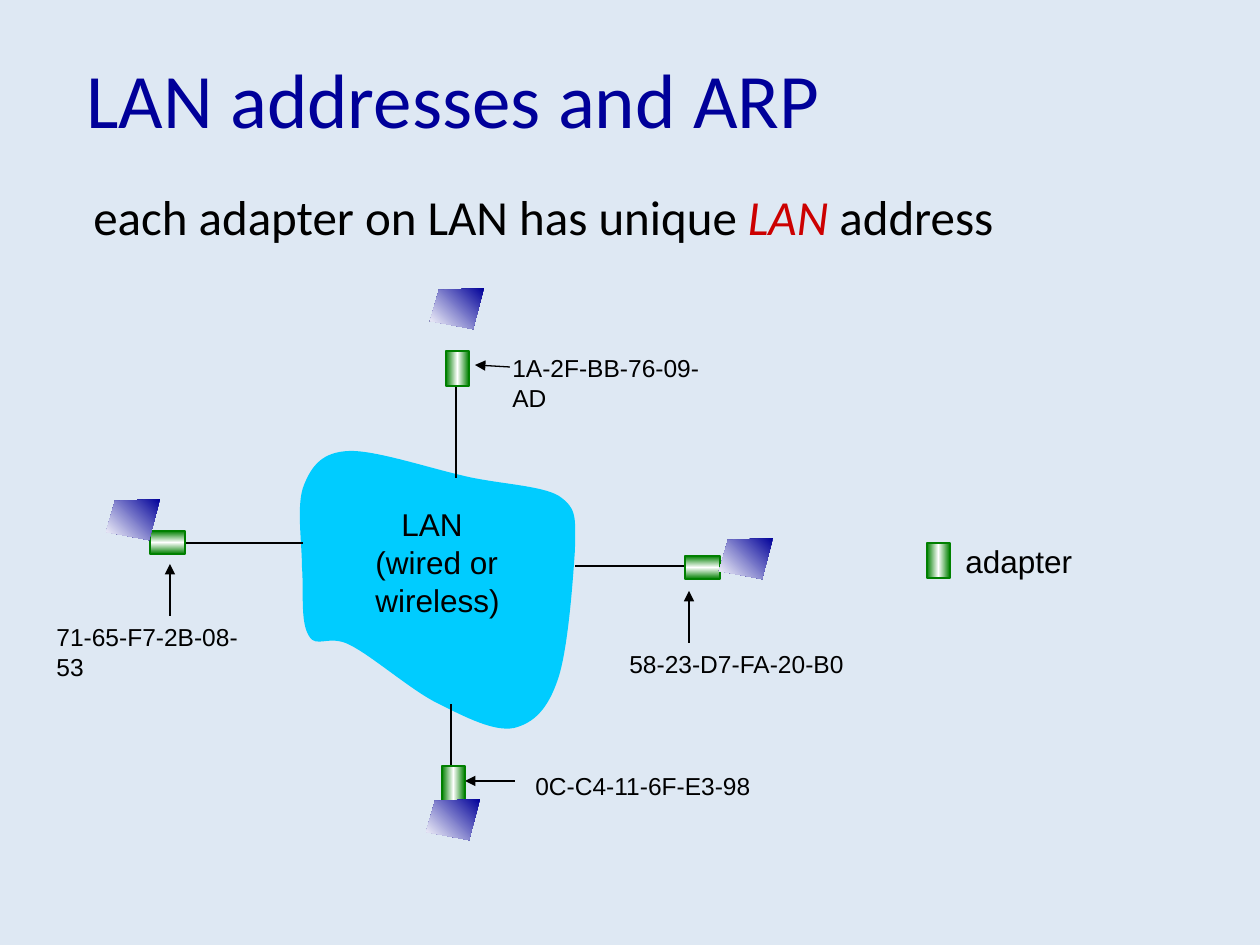
from dataclasses import dataclass

from lxml.etree import SubElement
from pptx import Presentation
from pptx.dml.color import RGBColor
from pptx.enum.shapes import MSO_CONNECTOR, MSO_SHAPE
from pptx.enum.text import MSO_ANCHOR
from pptx.oxml.ns import qn
from pptx.util import Emu, Pt

EMU_PER_PX = 914400 / 126


def px(length):
    return Emu(round(length * EMU_PER_PX))


@dataclass(frozen=True)
class Theme:
    background: str = "DEE8F3"
    navy: str = "000099"
    black: str = "000000"
    red: str = "CC0000"
    cloud: str = "00CCFF"
    green: str = "008000"
    white: str = "FFFFFF"
    heading_font: str = "Calibri"
    label_font: str = "Arial"
    title_size: int = 44
    body_size: int = 28
    label_size: int = 18
    address_size: int = 14
    line_width: float = 0.75


class SlideBuilder:
    def __init__(self, page, theme):
        self.page, self.theme = page, theme
        page.background.fill.solid()
        page.background.fill.fore_color.rgb = RGBColor.from_string(theme.background)

    def text(self, left, top, width, height, lines, size, font=None,
             color=None, anchor=MSO_ANCHOR.TOP):
        """Each line is a list of plain strings or (string, accent color) pairs."""
        box = self.page.shapes.add_textbox(px(left), px(top), px(width), px(height))
        frame = box.text_frame
        frame.word_wrap = True
        frame.vertical_anchor = anchor
        for number, line in enumerate(lines):
            para = frame.add_paragraph() if number else frame.paragraphs[0]
            para.font.size = Pt(size)
            para.font.name = font or self.theme.label_font
            para.font.color.rgb = RGBColor.from_string(color or self.theme.black)
            for part in line:
                span = para.add_run()
                if isinstance(part, tuple):
                    span.text, accent = part
                    span.font.italic = True
                    span.font.color.rgb = RGBColor.from_string(accent)
                else:
                    span.text = part
        return frame

    def line(self, start, end, arrow=False):
        line = self.page.shapes.add_connector(
            MSO_CONNECTOR.STRAIGHT, *map(px, start + end))
        line.line.color.rgb = RGBColor.from_string(self.theme.black)
        line.line.width = Pt(self.theme.line_width)
        if arrow:
            SubElement(line.line._get_or_add_ln(), qn("a:tailEnd"), type="triangle")
        SubElement(line._element.spPr, qn("a:effectLst"))

    def gradient(self, shape, colors, angle):
        shape.fill.gradient()
        shape.fill.gradient_angle = angle
        stops = shape._element.spPr.find(qn("a:gradFill")).find(qn("a:gsLst"))
        for stop in list(stops):
            stops.remove(stop)
        for number, color in enumerate(colors):
            position = 100000 * number // (len(colors) - 1)
            stop = SubElement(stops, qn("a:gs"), pos=str(position))
            SubElement(stop, qn("a:srgbClr"), val=color)

    def outline(self, points):
        corners = [(px(x), px(y)) for x, y in points]
        builder = self.page.shapes.build_freeform(*corners[0], scale=1.0)
        builder.add_line_segments(corners[1:], close=True)
        shape = builder.convert_to_shape()
        shape.shadow.inherit = False
        shape.line.fill.background()
        return shape

    def cloud(self, start, segments):
        """Closed chain of Bezier curves: two handles and an end per segment."""
        shape = self.outline([start, *(point for segment in segments for point in segment)])
        shape.fill.solid()
        shape.fill.fore_color.rgb = RGBColor.from_string(self.theme.cloud)
        # Turn every three straight steps into one curve
        steps = list(shape._element.iter(qn("a:lnTo")))
        for first in range(0, len(steps), 3):
            curve = steps[first]
            curve_points = [step[0] for step in steps[first:first + 3]]
            bezier = curve.getparent().makeelement(qn("a:cubicBezTo"))
            curve.addprevious(bezier)
            bezier.extend(curve_points)
            for step in steps[first:first + 3]:
                step.getparent().remove(step)

    def screen(self, left, top):
        corners = ((54, 0), (9, 2), (0, 33), (43, 41))
        shape = self.outline([(left + x, top + y) for x, y in corners])
        self.gradient(shape, (self.theme.navy, self.theme.white), 225)

    def adapter(self, left, top, rotation=0):
        theme = self.theme
        shape = self.page.shapes.add_shape(
            MSO_SHAPE.RECTANGLE, px(left), px(top), px(23), px(35))
        shape.rotation = rotation
        shape.shadow.inherit = False
        self.gradient(shape, (theme.green, theme.white, theme.green), 0)
        shape.line.color.rgb = RGBColor.from_string(theme.green)
        shape.line.width = Pt(theme.line_width)


CLOUD_START = (349, 451)
CLOUD_SEGMENTS = (
    ((323, 452), (312, 465), (304, 485)),
    ((296, 504), (302, 542), (302, 567)),
    ((304, 592), (300, 622), (309, 636)),
    ((316, 649), (329, 634), (350, 645)),
    ((372, 656), (411, 690), (437, 703)),
    ((465, 717), (494, 732), (514, 728)),
    ((534, 723), (548, 709), (558, 679)),
    ((568, 650), (573, 580), (575, 549)),
    ((575, 519), (578, 509), (559, 496)),
    ((541, 485), (495, 484), (460, 475)),
    ((426, 467), (374, 450), CLOUD_START),
)

# Cable, address arrow, address box (left, top, width), address, adapter, screen
HOSTS = (
    (((179, 543), (303, 543)), ((170, 616), (170, 564)),
     (44, 616, 233), "71-65-F7-2B-08-53", (156, 525, 270), (106, 499)),
    (((456, 387), (456, 478)), ((510, 367), (475, 365)),
     (500, 347, 240), "1A-2F-BB-76-09-AD", (446, 351), (430, 288)),
    (((685, 566), (575, 566)), ((689, 643), (689, 591)),
     (617, 643, 240), "58-23-D7-FA-20-B0", (691, 550, 270), (719, 538)),
    (((451, 765), (451, 704)), ((515, 781), (465, 781)),
     (523, 765, 241), "0C-C4-11-6F-E3-98", (442, 766), (426, 799)),
)


def main():
    deck = Presentation()
    deck.slide_width, deck.slide_height = px(1260), px(945)
    theme = Theme()
    slide = SlideBuilder(deck.slides.add_slide(deck.slide_layouts[6]), theme)

    # Title and statement
    slide.text(74, 19, 1071, 158, [["LAN addresses and ARP"]], theme.title_size,
               theme.heading_font, theme.navy, MSO_ANCHOR.MIDDLE)
    slide.text(81, 180, 951, 72,
               [["each adapter on LAN has unique ", ("LAN", theme.red), " address"]],
               theme.body_size, theme.heading_font)

    # Legend label
    slide.text(953, 536, 133, 50, [["adapter"]], theme.label_size)

    # Network cloud
    slide.cloud(CLOUD_START, CLOUD_SEGMENTS)

    # Cables, arrows and addresses
    for cable, arrow, (left, top, width), address, _, _ in HOSTS:
        slide.line(*cable)
        slide.line(*arrow, arrow=True)
        slide.text(left, top, width, 42, [[address]], theme.address_size)

    # Cloud label, first line indented
    label = slide.text(363, 499, 150, 126, [["LAN"], ["(wired or"], ["wireless)"]],
                       theme.label_size)
    label.paragraphs[0]._p.get_or_add_pPr().set("marL", str(px(26)))

    # Legend adapter and hosts
    slide.adapter(927, 543)
    for *_, adapter, screen in HOSTS:
        slide.adapter(*adapter)
        slide.screen(*screen)

    deck.save("out.pptx")


if __name__ == "__main__":
    main()
